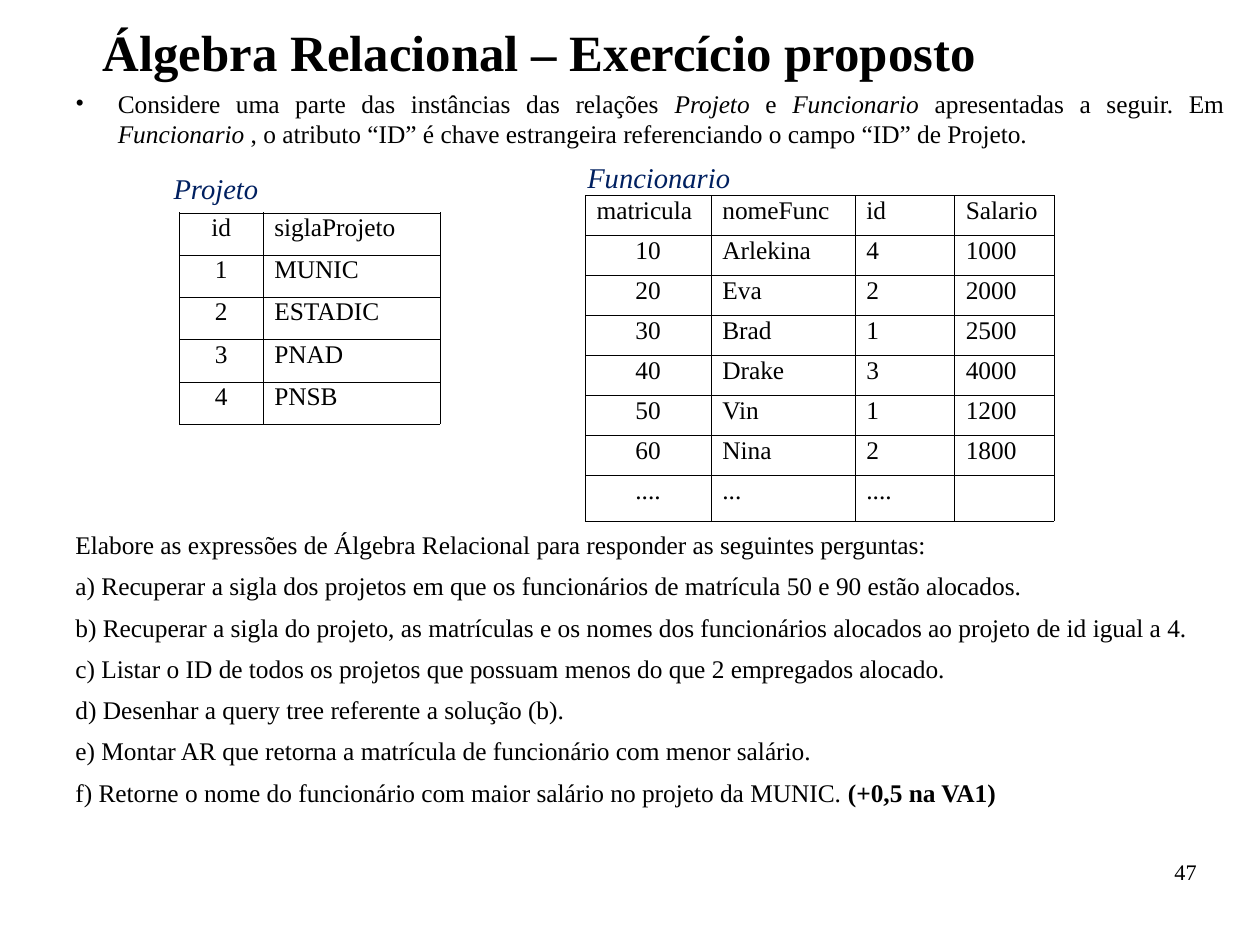
from pptx import Presentation
from pptx.dml.color import RGBColor
from pptx.enum.text import PP_ALIGN
from pptx.oxml.ns import qn
from pptx.util import Inches, Pt
from lxml.etree import SubElement

BLACK = RGBColor(0x00, 0x00, 0x00)
NAVY = RGBColor(0x00, 0x20, 0x60)
FONT_NAME = "Times New Roman"
LABEL_INSETS = (0.1, 0.05, 0.1, 0.05)
CM_PER_INCH = 2.54

INTRODUCTION = [
    ("Considere uma parte das instâncias das relações ", False),
    ("Projeto", True),
    (" e ", False),
    ("Funcionario", True),
    (" apresentadas a seguir. Em ", False),
    ("Funcionario", True),
    (" , o atributo “ID” é chave estrangeira referenciando o campo “ID” de Projeto.", False),
]
QUESTIONS = [
    "Elabore as expressões de Álgebra Relacional para responder as seguintes perguntas:",
    "a) Recuperar a sigla dos projetos em que os funcionários de matrícula 50 e 90 estão alocados.",
    "b) Recuperar a sigla do projeto, as matrículas e os nomes dos funcionários "
    "alocados ao projeto de id igual a 4.",
    "c) Listar o ID de todos os projetos que possuam menos do que 2 empregados alocado.",
    "d) Desenhar a query tree referente a solução (b).",
    "e) Montar AR que retorna a matrícula de funcionário com menor salário.",
    "f) Retorne o nome do funcionário com maior salário no projeto da MUNIC. ",
]
BONUS = "(+0,5 na VA1)"
PROJECTS = [
    ("id", "siglaProjeto"),
    ("1", "MUNIC"),
    ("2", "ESTADIC"),
    ("3", "PNAD"),
    ("4", "PNSB"),
]
EMPLOYEES = [
    ("matricula", "nomeFunc", "id", "Salario"),
    ("10", "Arlekina", "4", "1000"),
    ("20", "Eva", "2", "2000"),
    ("30", "Brad", "1", "2500"),
    ("40", "Drake", "3", "4000"),
    ("50", "Vin", "1", "1200"),
    ("60", "Nina", "2", "1800"),
    ("....", "...", "....", ""),
]


def style_font(paragraph, size, color=BLACK):
    paragraph.font.name = FONT_NAME
    paragraph.font.size = Pt(size)
    paragraph.font.color.rgb = color


def add_text_frame(slide, left, top, width, height, insets=(0, 0, 0, 0)):
    shape = slide.shapes.add_textbox(Inches(left), Inches(top), Inches(width), Inches(height))
    frame = shape.text_frame
    frame.word_wrap = True
    frame.margin_left, frame.margin_top, frame.margin_right, frame.margin_bottom = map(Inches, insets)
    return frame


def add_line(slide, box, text, size, color=BLACK, insets=(0, 0, 0, 0)):
    """Add a text box that holds one line and return its paragraph."""
    paragraph = add_text_frame(slide, *box, insets).paragraphs[0]
    paragraph.text = text
    style_font(paragraph, size, color)
    return paragraph


def add_title(slide, box):
    paragraph = add_line(slide, box, "Álgebra Relacional – Exercício proposto", 32)
    paragraph.line_spacing = 0.93
    paragraph.font.bold = True


def add_introduction(slide, box):
    paragraph = add_text_frame(slide, *box, (0, 0.02, 0, 0)).paragraphs[0]
    paragraph.alignment = PP_ALIGN.JUSTIFY
    # Hanging bullet
    properties = paragraph._p.get_or_add_pPr()
    properties.set("marL", str(Inches(0.44)))
    properties.set("indent", str(Inches(-0.37)))
    SubElement(properties, qn("a:buFont")).set("typeface", FONT_NAME)
    SubElement(properties, qn("a:buChar")).set("char", "•")
    style_font(paragraph, 16)
    for text, italic in INTRODUCTION:
        run = paragraph.add_run()
        run.text = text
        run.font.italic = italic


def add_questions(slide, box):
    frame = add_text_frame(slide, *box, (0, 0.02, 0, 0))
    for index, question in enumerate(QUESTIONS):
        paragraph = frame.add_paragraph() if index else frame.paragraphs[0]
        paragraph.text = question
        paragraph.alignment = PP_ALIGN.JUSTIFY
        paragraph.space_before = Pt(0.4 if index else 0)
        paragraph.space_after = Pt(6.4)
        style_font(paragraph, 16)
    bonus = paragraph.add_run()
    bonus.text = BONUS
    bonus.font.bold = True


def add_cell_borders(cell):
    properties = cell._tc.get_or_add_tcPr()
    for side in ("a:lnL", "a:lnR", "a:lnT", "a:lnB"):
        line = SubElement(properties, qn(side))
        line.set("w", str(Pt(0.06)))
        fill = SubElement(line, qn("a:solidFill"))
        SubElement(fill, qn("a:srgbClr")).set("val", str(BLACK))


def add_relation(slide, left, top, rows, column_widths, row_heights, centered_header):
    """Add a relation's table, with its key column centred."""
    shape = slide.shapes.add_table(
        len(rows), len(column_widths), Inches(left), Inches(top),
        Inches(sum(column_widths)), Inches(sum(row_heights)))
    table = shape.table
    table.first_row = False
    table.horz_banding = False
    for column, width in zip(table.columns, column_widths):
        column.width = Inches(width)
    for row_index, values in enumerate(rows):
        table.rows[row_index].height = Inches(row_heights[row_index])
        for column_index, value in enumerate(values):
            cell = table.cell(row_index, column_index)
            add_cell_borders(cell)
            cell.fill.background()
            paragraph = cell.text_frame.paragraphs[0]
            paragraph.text = value
            paragraph.line_spacing = 0.8
            if column_index == 0 and (row_index or centered_header):
                paragraph.alignment = PP_ALIGN.CENTER
            style_font(paragraph, 16)


def add_relation_name(slide, box, name):
    paragraph = add_line(slide, box, name, 18, NAVY, LABEL_INSETS)
    paragraph.font.italic = True


def add_page_number(slide, box):
    paragraph = add_line(slide, box, "47", 14)
    paragraph.alignment = PP_ALIGN.RIGHT
    paragraph.line_spacing = 0.95


def main():
    # Slide of 28 by 21 cm
    presentation = Presentation()
    presentation.slide_width = Inches(28 / CM_PER_INCH)
    presentation.slide_height = Inches(21 / CM_PER_INCH)
    slide = presentation.slides.add_slide(presentation.slide_layouts[6])

    # Title and statement
    add_title(slide, (0.9, 0.23, 9.53, 0.67))
    add_introduction(slide, (0.59, 0.75, 10.12, 0.6))

    # Relations
    add_relation(slide, 1.57, 1.86, PROJECTS, (0.73, 1.55), [0.37] * 5, True)
    add_relation(slide, 5.12, 1.71, EMPLOYEES, (1.1, 1.26, 0.87, 0.87), [0.35] * 7 + [0.4], False)
    add_relation_name(slide, (1.42, 1.45, 2.12, 0.4), "Projeto")
    add_relation_name(slide, (5.04, 1.35, 2.12, 0.4), "Funcionario")

    # Questions and page number
    add_questions(slide, (0.66, 4.61, 10.05, 2.6))
    add_page_number(slide, (7.9, 7.53, 2.57, 0.57))

    presentation.save("out.pptx")


if __name__ == "__main__":
    main()
